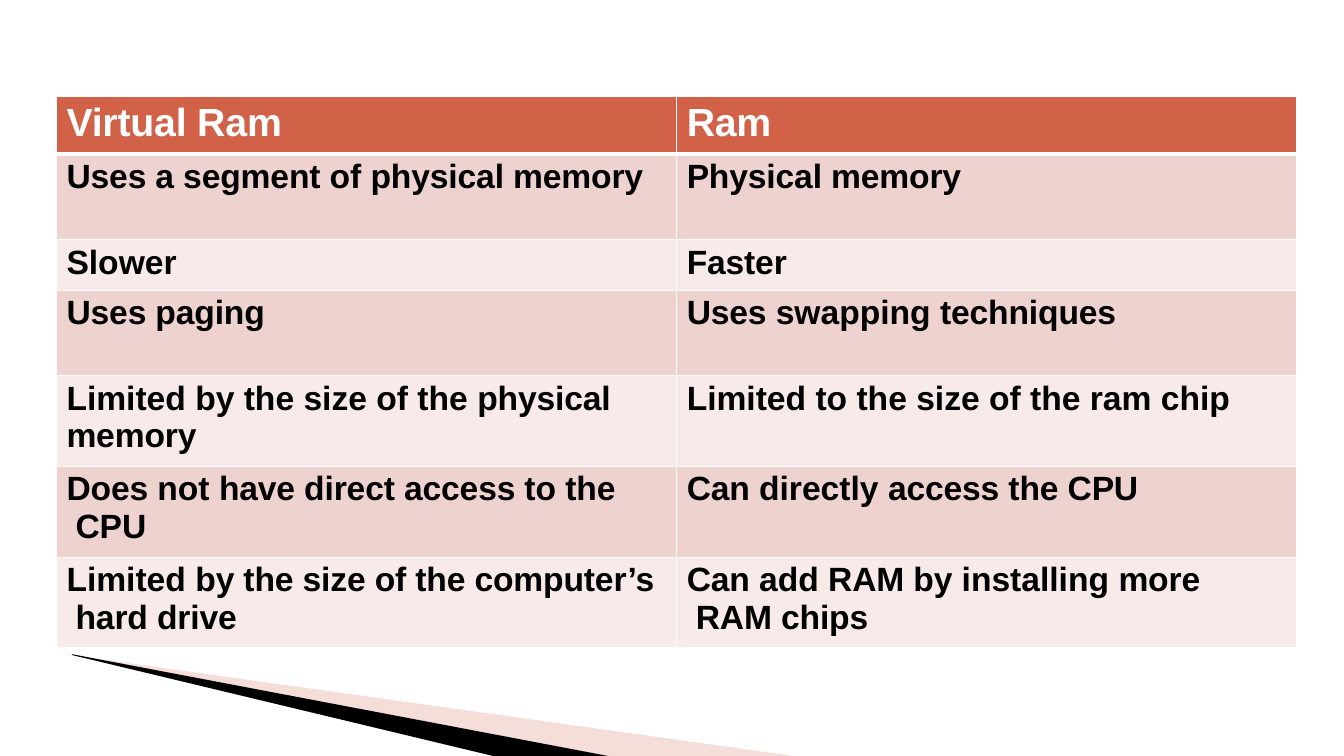
from lxml.etree import SubElement as Sub
from pptx import Presentation
from pptx.dml.color import RGBColor as Rgb
from pptx.oxml.ns import qn
from pptx.util import Emu, Inches as In, Pt

# Each text: "/" starts a paragraph, "|" toggles between tight and normal spacing.
HEAD = ("Virtual Ram", "Ram")
ROWS = [
    ("Uses a segment |of |physical memory", "Physical memory"),
    ("|Slower", "Faster"),
    ("Uses paging", "Uses |swapping |techniques"),
    ("|Limited by the size of the |physical/memory",
     "|Limited to the size of the ram chip"),
    ("Does |not |have direct access |to |the CPU",
     "Can |directly |access the CPU"),
    ("|Limited |by the size of the computer’s hard drive",
     "Can |add |RAM by |installing |more RAM chips"),
]
HANG = {(5, 0), (6, 0), (6, 1)}  # cells whose second line is set in
TALL = (7.6, 11.33, 6.67, 11.33, 12, 12, 12)


def tint(code):
    return Rgb.from_string(code)


class Page:
    """Draws on a grid of 100 columns by 100 rows."""
    font = "Arial"
    white, black = "FFFFFF", "000000"
    head, dark, light, pale = "D16248", "EDD2CF", "F7EAE9", "E7ACA3"

    def __init__(self, deck):
        self.wide, self.high = deck.slide_width, deck.slide_height
        self.slide = deck.slides.add_slide(deck.slide_layouts[6])
        back = self.slide.background.fill
        back.solid()
        back.fore_color.rgb = tint(self.white)

    def x(self, col):
        return Emu(int(self.wide * col / 100))

    def y(self, row):
        return Emu(int(self.high * row / 100))

    def shape(self, rings, code, alpha=None):
        spots = [[(self.x(c), self.y(r)) for c, r in ring] for ring in rings]
        form = self.slide.shapes.build_freeform(*spots[0][0], scale=1.0)
        for n, ring in enumerate(spots):
            if n:
                form.move_to(*ring[0])
            form.add_line_segments(ring[1:], close=True)
        item = form.convert_to_shape()
        item.shadow.inherit = False
        item.line.fill.background()
        item.fill.solid()
        item.fill.fore_color.rgb = tint(code)
        if alpha:
            clr = item.element.spPr.find(".//" + qn("a:srgbClr"))
            Sub(clr, qn("a:alpha"), val=str(alpha * 1000))

    def edges(self, cell, top, base):
        prop = cell._tc.get_or_add_tcPr()
        for side, size in zip("LRTB", (1, 1, top, base)):
            line = Sub(prop, qn("a:ln" + side), w=str(Pt(size)))
            fill = Sub(line, qn("a:solidFill"))
            Sub(fill, qn("a:srgbClr"), val=self.white)

    def label(self, cell, text, size, code, hang):
        cell.margin_left = cell.margin_bottom = 0
        cell.margin_top = In(0.04)
        cell.margin_right = In(0.15 if hang else 0)
        frame = cell.text_frame
        for n, part in enumerate(text.split("/")):
            para = frame.add_paragraph() if n else frame.paragraphs[0]
            prop = para._p.get_or_add_pPr()
            prop.set("marL", str(In(0.19 if hang else 0.1)))
            prop.set("indent", str(In(-0.09 if hang else 0)))
            for k, bit in enumerate(part.split("|")):
                if not bit:
                    continue
                run = para.add_run()
                run.text = bit
                font = run.font
                font.name, font.size, font.bold = self.font, Pt(size), True
                font.color.rgb = tint(code)
                run._r.get_or_add_rPr().set("spc", "0" if k % 2 else "-10")

    def table(self, left, top, width, tall, rows):
        grid = self.slide.shapes.add_table(
            len(rows), len(rows[0]), self.x(left), self.y(top),
            self.x(width), self.y(sum(tall))).table
        for row, size in zip(grid.rows, tall):
            row.height = self.y(size)
        for r, texts in enumerate(rows):
            band = self.dark if r % 2 else self.light
            for c, text in enumerate(texts):
                cell = grid.cell(r, c)
                self.edges(cell, 3 if r == 1 else 1, 1 if r else 3)
                cell.fill.solid()
                cell.fill.fore_color.rgb = tint(band if r else self.head)
                self.label(cell, text, 24 if r else 28,
                           self.black if r else self.white, (r, c) in HANG)


def main():
    deck = Presentation()
    deck.slide_width, deck.slide_height = In(13.33), In(7.5)
    page = Page(deck)

    # Wedges at the foot
    page.shape([[(6.38, 86.93), (45.24, 100), (59.04, 100)],
                [(5.48, 86.67), (5.48, 86.8), (6.38, 86.93)]], page.pale, 40)
    page.shape([[(5.33, 86.53), (5.4, 86.67), (36.68, 100), (45.24, 100)]],
               page.black)

    # Comparison table
    page.table(4.2, 12.8, 92.3, TALL, [HEAD] + ROWS)

    deck.save("out.pptx")


if __name__ == "__main__":
    main()
